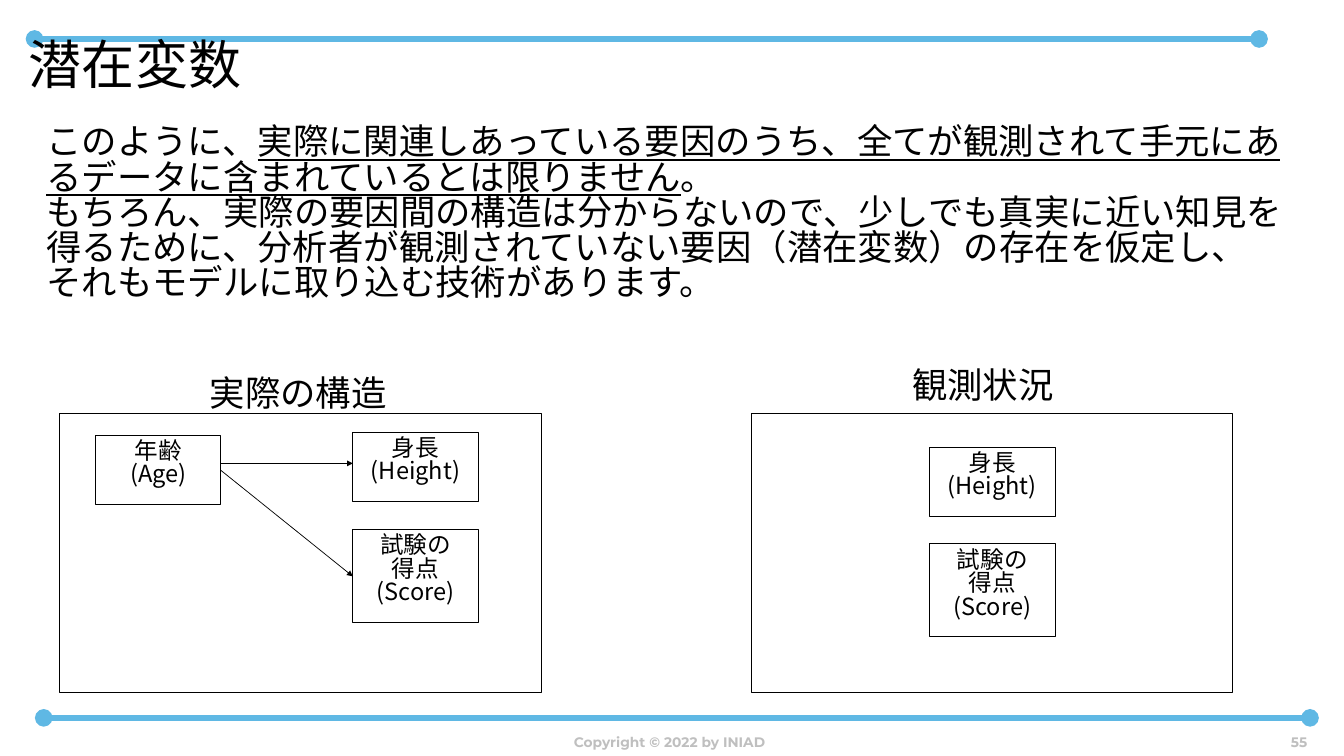
"""Build the slide on latent variables with two structure diagrams."""
from lxml.etree import SubElement
from pptx import Presentation
from pptx.dml.color import RGBColor
from pptx.enum.shapes import MSO_CONNECTOR as CONN, MSO_SHAPE as SHAPE
from pptx.enum.text import MSO_ANCHOR as ANCHOR, PP_ALIGN as ALIGN
from pptx.oxml.ns import qn
from pptx.util import Cm, Pt

BLACK = RGBColor(0x00, 0x00, 0x00)
WHITE = RGBColor(0xFF, 0xFF, 0xFF)
BLUE = RGBColor(0x5F, 0xB8, 0xE4)
GRAY = RGBColor(0xBF, 0xBF, 0xBF)
CJK = "Noto Sans CJK JP"


def write(sp, text, size=24, font=CJK, color=BLACK, bold=False, align=ALIGN.CENTER,
          anchor=ANCHOR.TOP, spacing=0.83, side=0.25, top=0.13):
    """Fill a shape with text; parts between underscores are underlined."""
    tf = sp.text_frame
    tf.word_wrap = True
    tf.vertical_anchor = anchor
    tf.margin_left = tf.margin_right = Cm(side)
    tf.margin_top, tf.margin_bottom = Cm(top), Cm(0.13)
    for i, line in enumerate(text.split("\n")):
        p = tf.paragraphs[0] if i == 0 else tf.add_paragraph()
        p.alignment = align
        p.line_spacing = spacing
        for j, part in enumerate(line.split("_")):
            r = p.add_run()
            r.text = part
            r.font.size = Pt(size)
            r.font.name = font
            r.font.bold = bold
            r.font.underline = j % 2 == 1
            r.font.color.rgb = color
            SubElement(r.font._element, qn("a:ea"), typeface=CJK)


def connect(x1, y1, x2, y2, color, width, tail, head=None):
    """Draw a straight line with the given ends."""
    c = s.shapes.add_connector(CONN.STRAIGHT, Cm(x1), Cm(y1), Cm(x2), Cm(y2))
    c.line.color.rgb = color
    c.line.width = Pt(width)
    ln = c.line._get_or_add_ln()
    if head:
        SubElement(ln, qn("a:headEnd"), type=head)
    SubElement(ln, qn("a:tailEnd"), type=tail)
    SubElement(c._element.spPr, qn("a:effectLst"))


prs = Presentation()
prs.slide_width, prs.slide_height = Cm(48.26), Cm(27.15)
s = prs.slides.add_slide(prs.slide_layouts[6])

for x1, x2, y in [(1.24, 45.21, 1.4), (1.57, 47.04, 25.78)]:
    connect(x1, y, x2, y, BLUE, 6, "oval", head="oval")

boxes = [
    (26.97, 14.86, 17.3, 10.01, ""),
    (2.13, 14.86, 17.3, 10.01, ""),
    (3.43, 15.62, 4.5, 2.49, "年齢\n(Age)"),
    (12.67, 15.52, 4.5, 2.49, "身長\n(Height)"),
    (12.67, 19.02, 4.5, 3.33, "試験の\n得点\n(Score)"),
    (33.38, 16.05, 4.5, 2.49, "身長\n(Height)"),
    (33.38, 19.53, 4.5, 3.33, "試験の\n得点\n(Score)"),
]
for x, y, w, h, text in boxes:
    sp = s.shapes.add_shape(SHAPE.RECTANGLE, Cm(x), Cm(y), Cm(w), Cm(h))
    sp.shadow.inherit = False
    sp.fill.solid()
    sp.fill.fore_color.rgb = WHITE
    sp.line.color.rgb = BLACK
    sp.line.width = Pt(0.75)
    if text:
        write(sp, text, top=0.2)

for y1, y2 in [(16.64, 16.64), (16.89, 20.7)]:
    connect(7.93, y1, 12.67, y2, BLACK, 0.75, "triangle")

body = (
    "このように、_実際に関連しあっている要因のうち、全てが観測されて手元にあるデータに含まれているとは限りません_。\n"
    "もちろん、実際の要因間の構造は分からないので、少しでも真実に近い知見を得るために、"
    "分析者が観測されていない要因（潜在変数）の存在を仮定し、\n"
    "それもモデルに取り込む技術があります。"
)
heading = dict(size=36, top=0.23)
footer = dict(size=14, font="Montserrat", color=GRAY, bold=True, anchor=ANCHOR.BOTTOM, spacing=1.0)
texts = [
    (1.04, 1.35, 44.17, 3.94, "潜在変数",
     dict(size=54, font="League Spartan", align=ALIGN.LEFT, side=0, top=0.15)),
    (1.42, 4.32, 45.11, 7.95, body, dict(heading, align=ALIGN.LEFT)),
    (5.64, 13.34, 10.13, 1.8, "実際の構造", heading),
    (30.23, 13.08, 10.13, 1.8, "観測状況", heading),
    (1.12, 25.78, 45.85, 1.3, "Copyright © 2022 by INIAD", footer),
    (44.55, 25.81, 2.64, 1.27, "55", dict(footer, align=ALIGN.RIGHT)),
]
for x, y, w, h, text, style in texts:
    sp = s.shapes.add_textbox(Cm(x), Cm(y), Cm(w), Cm(h))
    write(sp, text, **style)

prs.save("out.pptx")
